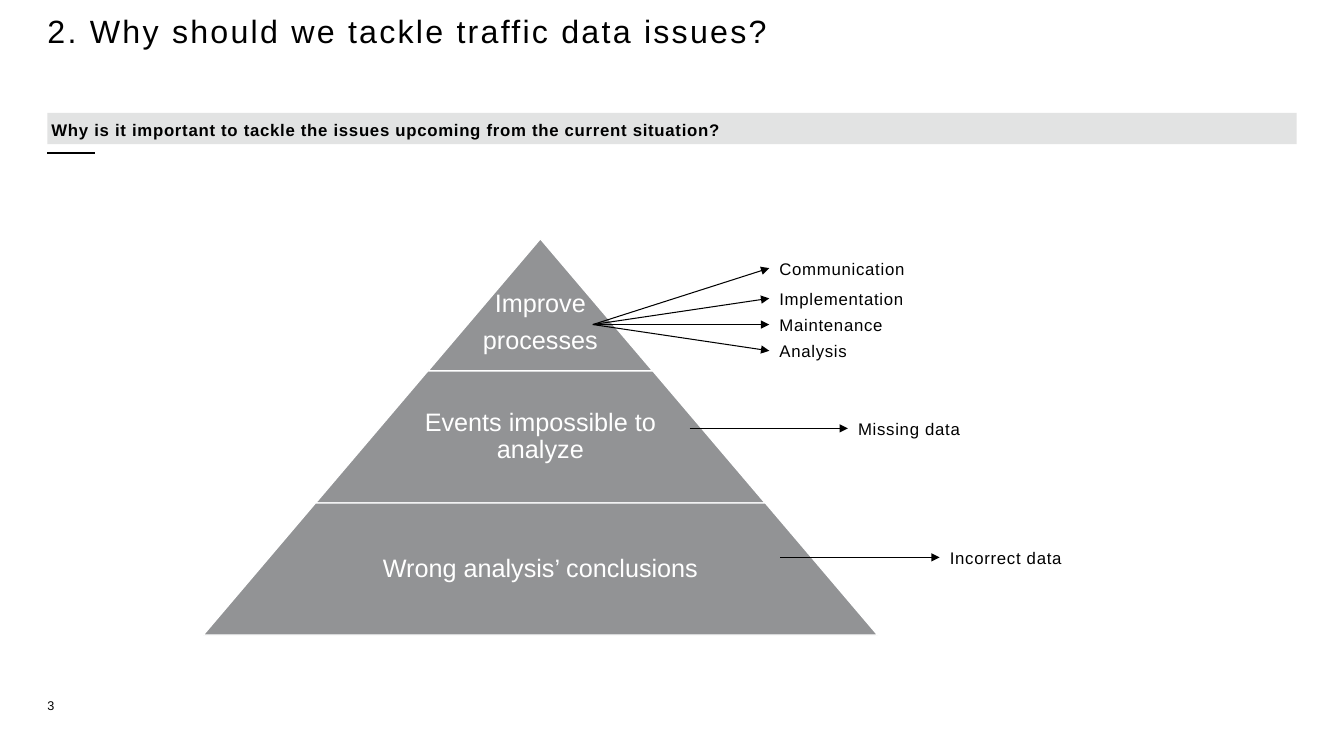
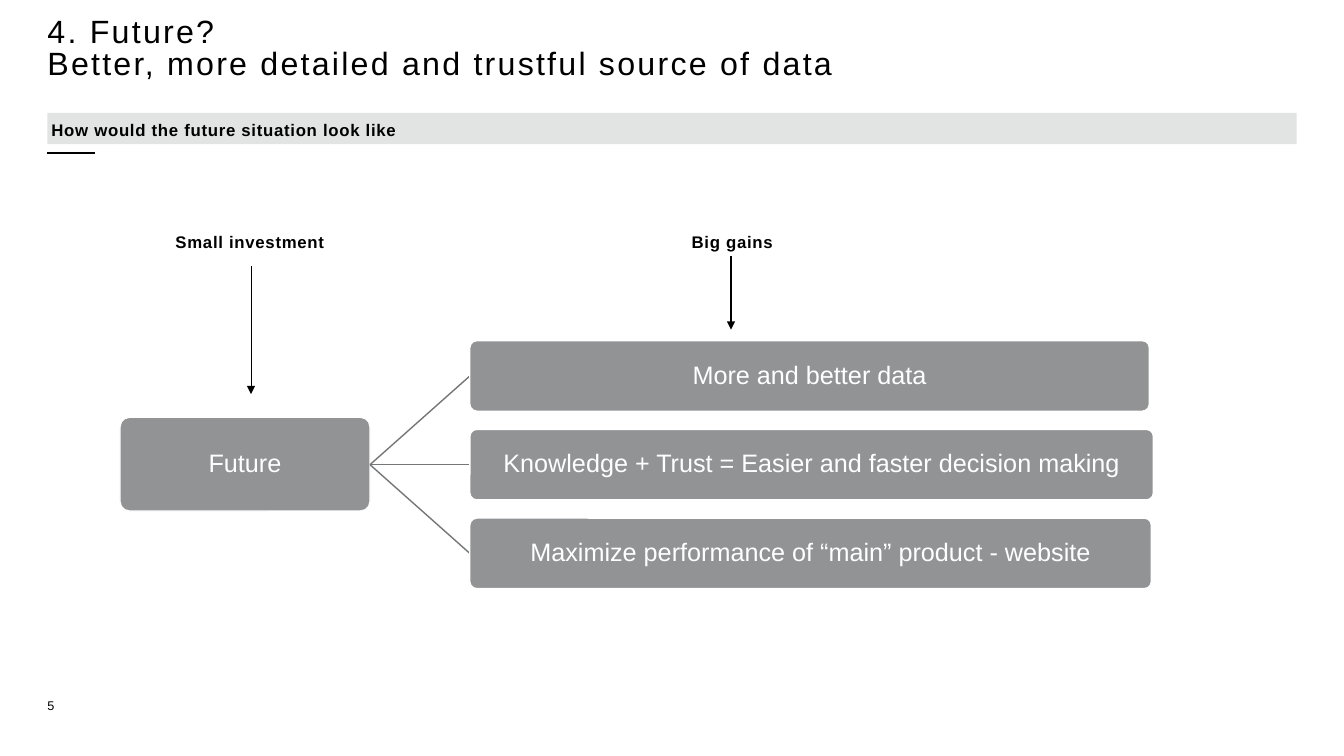
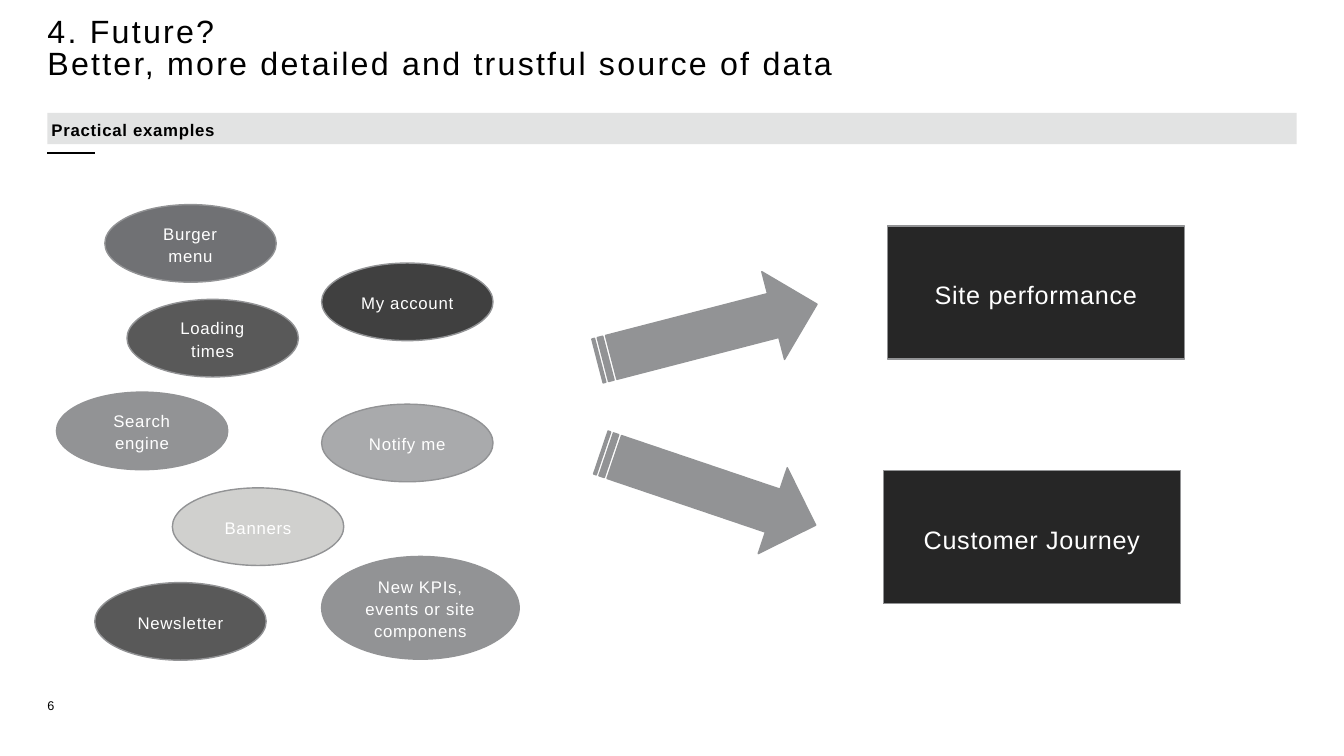
from pptx import Presentation
from pptx.dml.color import RGBColor
from pptx.enum import shapes, text
from pptx.oxml import ns, xmlchemy
from pptx.util import Inches, Pt

BLACK = RGBColor(0x00, 0x00, 0x00)
WHITE = RGBColor(0xFF, 0xFF, 0xFF)
BAND = RGBColor(0xE2, 0xE3, 0xE3)
GREY = RGBColor(0x92, 0x93, 0x95)
BRANCH = RGBColor(0x75, 0x76, 0x77)
SLATE = RGBColor(0x70, 0x71, 0x74)
DARK = RGBColor(0x59, 0x59, 0x59)
DARKER = RGBColor(0x40, 0x40, 0x40)
LIGHT = RGBColor(0xA9, 0xAA, 0xAC)
PALE = RGBColor(0xD0, 0xD0, 0xCE)
CHARCOAL = RGBColor(0x26, 0x26, 0x26)

LEFT, CENTER = text.PP_ALIGN.LEFT, text.PP_ALIGN.CENTER
TOP, MIDDLE = text.MSO_ANCHOR.TOP, text.MSO_ANCHOR.MIDDLE
SHAPE = shapes.MSO_SHAPE
FUTURE_TITLE = "4. Future?\nBetter, more detailed and trustful source of data"


def box(left, top, width, height):
    """Return a position and size in inches as lengths."""
    return [Inches(v) for v in (left, top, width, height)]


class Deck:
    """Holds the shared style and the slide being built."""

    font = "Arial"
    margin, full_width = 0.47, 12.39

    def __init__(self):
        """Start an empty widescreen presentation."""
        self.prs = Presentation()
        self.prs.slide_width = Inches(13.33)
        self.prs.slide_height = Inches(7.5)
        self.s = None

    def set_text(self, sp, words, size=12, color=BLACK, bold=False, align=LEFT,
                 anchor=TOP, inset=(0, 0), spacing=1.11, after=0, track=0.5):
        """Put formatted text into a shape, one paragraph per line."""
        tf = sp.text_frame
        tf.text = words
        tf.word_wrap = True
        tf.auto_size = text.MSO_AUTO_SIZE.NONE
        tf.vertical_anchor = anchor
        tf.margin_left = tf.margin_right = Inches(inset[0])
        tf.margin_top = tf.margin_bottom = Inches(inset[1])
        for p in tf.paragraphs:
            p.alignment, p.line_spacing = align, spacing
            p.space_before, p.space_after = Pt(0), Pt(after)
            for r in p.runs:
                r.font.name, r.font.size, r.font.bold = self.font, Pt(size), bold
                r.font.color.rgb = color
                r._r.get_or_add_rPr().set("spc", str(int(track * 100)))

    def slide(self, title, question, number):
        """Add a slide with its title, heading band, rule and number."""
        self.s = self.prs.slides.add_slide(self.prs.slide_layouts[5])
        sp = self.s.shapes.title
        sp.left, sp.top, sp.width, sp.height = box(
            self.margin, 0.18, self.full_width, 0.94)
        self.set_text(sp, title, size=23, spacing=0.83, track=1.6)
        self.line((self.margin, 1.52), (0.94, 1.52), width=1.5)
        band = self.shape(SHAPE.RECTANGLE, (self.margin, 1.12, self.full_width, 0.31),
                          BAND, None)
        self.set_text(band, question, bold=True, anchor=MIDDLE, inset=(0.04, 0.04))
        self.label(number, (self.margin, 6.92, 0.47, 0.58),
                   size=9, spacing=1.0, track=0.6)

    def shape(self, kind, at, fill, outline=GREY):
        """Add a flat preset shape."""
        sp = self.s.shapes.add_shape(kind, *box(*at))
        sp.shadow.inherit = False
        sp.fill.solid()
        sp.fill.fore_color.rgb = fill
        if outline is None:
            sp.line.fill.background()
        else:
            sp.line.color.rgb = outline
            sp.line.width = Pt(1)
        return sp

    def node(self, kind, at, fill, words, size=12):
        """Add an outlined shape with centred white text."""
        sp = self.shape(kind, at, fill)
        self.set_text(sp, words, size=size, color=WHITE, align=CENTER,
                      anchor=MIDDLE, inset=(0.1, 0.05))

    def card(self, at, words):
        """Add a rounded grey card with large text."""
        sp = self.shape(SHAPE.ROUNDED_RECTANGLE, at, GREY, WHITE)
        sp.adjustments[0] = 0.1
        self.set_text(sp, words, size=18, color=WHITE, align=CENTER,
                      anchor=MIDDLE, inset=(0.01, 0.01), spacing=0.9, track=0)

    def label(self, words, at, **style):
        """Add a text box."""
        self.set_text(self.s.shapes.add_textbox(*box(*at)), words, **style)

    def line(self, start, end, color=BLACK, width=0.75, arrow=False):
        """Add a straight line, with an arrowhead at its end if asked."""
        sp = self.s.shapes.add_connector(
            shapes.MSO_CONNECTOR.STRAIGHT, *[Inches(v) for v in start + end])
        sp.line.color.rgb = color
        sp.line.width = Pt(width)
        if arrow:
            tail = xmlchemy.OxmlElement("a:tailEnd")
            tail.set("type", "triangle")
            sp.get_or_add_ln().append(tail)
        sp.element.find(ns.qn("p:spPr")).append(xmlchemy.OxmlElement("a:effectLst"))

    def callout(self, start, end, words):
        """Add an arrow with a label beyond its head."""
        self.line(start, end, arrow=True)
        self.label(words, (end[0] + 0.1, end[1] - 0.12, 1.51, 0.22))


def why_slide(deck):
    """Build the pyramid of reasons."""
    deck.slide("2. Why should we tackle traffic data issues?",
               "Why is it important to tackle the issues upcoming "
               "from the current situation?", "3")
    middle, top, step, height = 5.36, 2.37, 2.23, 1.31
    tiers = [("Improve\nprocesses", 2.23, 0.18),
             ("Events impossible to analyze", 2.9, 0),
             ("Wrong analysis’ conclusions", 4.35, 0)]
    for i, (words, text_width, drop) in enumerate(tiers):
        width, y = step * (i + 1), top + height * i
        tier = deck.shape(SHAPE.TRAPEZOID, (middle - width / 2, y, width, height),
                          GREY, WHITE)
        tier.adjustments[0] = 0.85
        deck.label(words, (middle - text_width / 2, y + drop, text_width, height),
                   size=18, color=WHITE, align=CENTER, anchor=MIDDLE,
                   inset=(0.03, 0.03), spacing=0.9, after=7, track=0)
    for words, y in [("Communication", 2.66), ("Implementation", 2.96),
                     ("Maintenance", 3.22), ("Analysis", 3.48)]:
        deck.callout((5.88, 3.22), (7.63, y), words)
    deck.callout((6.84, 4.25), (8.41, 4.25), "Missing data")
    deck.callout((7.74, 5.53), (9.32, 5.53), "Incorrect data")


def future_slide(deck):
    """Build the tree from investment to gains."""
    deck.slide(FUTURE_TITLE, "How would the future situation look like", "5")
    deck.card((1.19, 4.14, 2.48, 0.93), "Future")
    gains = [("More and better data", 6.74),
             ("Knowledge + Trust = Easier and faster decision making", 6.78),
             ("Maximize performance of “main” product - website", 6.76)]
    for i, (words, width) in enumerate(gains):
        y = 3.38 + 0.88 * i
        deck.line((3.67, 4.61), (4.66, y + 0.35), color=BRANCH, width=1)
        deck.card((4.66, y, width, 0.7), words)
    deck.label("Big gains", (6.86, 2.28, 1.89, 0.22), bold=True)
    deck.label("Small investment", (1.74, 2.28, 1.89, 0.22), bold=True)
    deck.line((2.49, 2.64), (2.49, 3.91), arrow=True)
    deck.line((7.25, 2.54), (7.25, 3.27), arrow=True)


def examples_slide(deck):
    """Build the examples that lead to two outcomes."""
    deck.slide(FUTURE_TITLE, "Practical examples", "6")
    examples = [("Burger menu", 1.04, 2.03, SLATE),
                ("Loading times", 1.26, 2.97, DARK),
                ("Search engine", 0.56, 3.89, GREY),
                ("Banners", 1.71, 4.84, PALE),
                ("Newsletter", 0.94, 5.78, DARK),
                ("My account", 3.19, 2.61, DARKER),
                ("Notify me", 3.19, 4.01, LIGHT)]
    for words, x, y, fill in examples:
        deck.node(SHAPE.OVAL, (x, y, 1.7, 0.77), fill, words)
    deck.node(SHAPE.OVAL, (3.19, 5.52, 1.96, 1.02), GREY,
              "New KPIs, events or site componens")
    for x, y, turn in [(5.89, 2.85, 345.5), (5.9, 4.4, 18.7)]:
        arrow = deck.shape(SHAPE.STRIPED_RIGHT_ARROW, (x, y, 2.25, 0.9), GREY)
        arrow.rotation = turn
    for words, x, y in [("Site performance", 8.8, 2.24),
                        ("Customer Journey", 8.76, 4.67)]:
        deck.node(SHAPE.RECTANGLE, (x, y, 2.95, 1.32), CHARCOAL, words, size=18)


def main():
    """Build and save the presentation."""
    deck = Deck()
    for build in (why_slide, future_slide, examples_slide):
        build(deck)
    deck.prs.save("out.pptx")


main()
